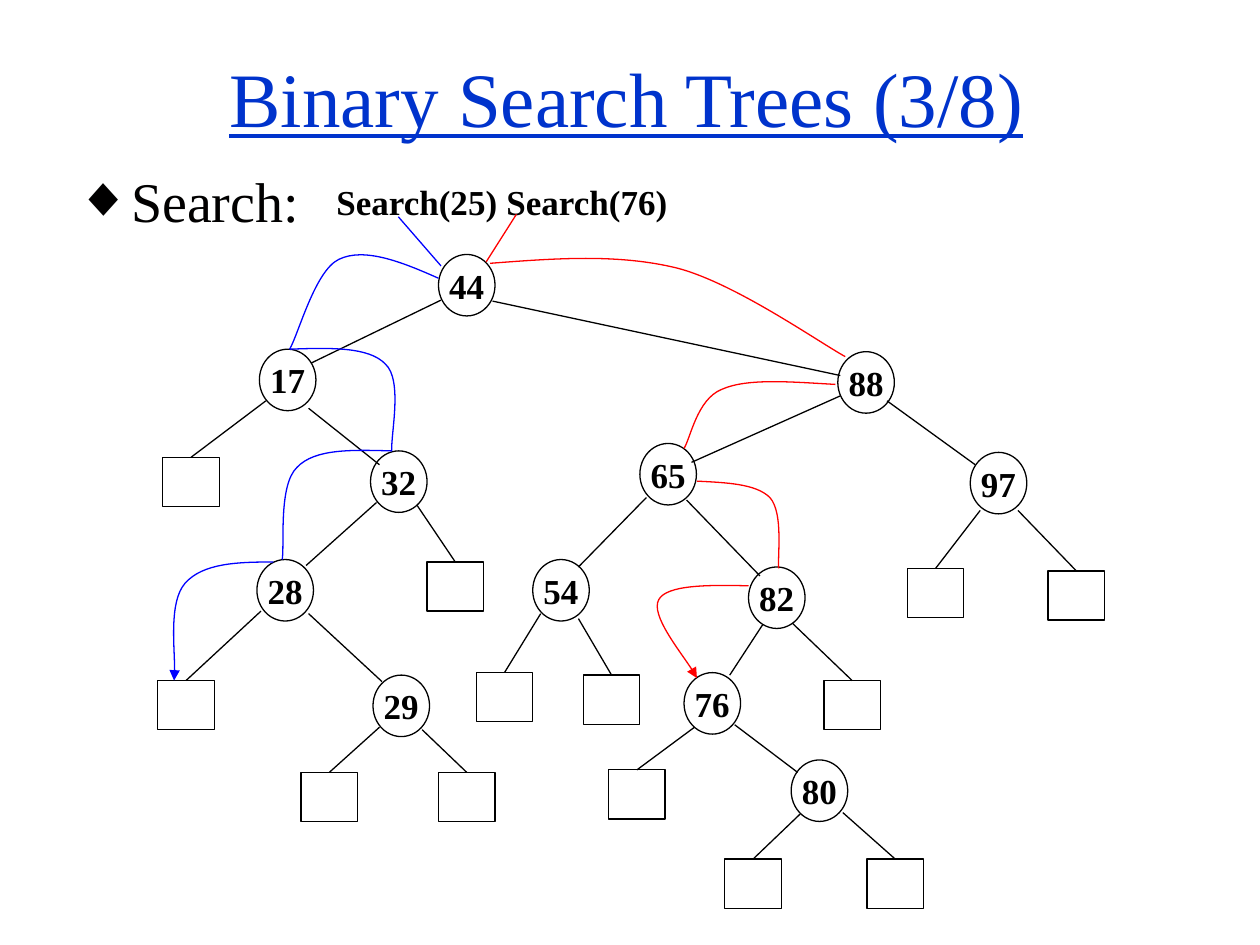
from typing import NamedTuple

from lxml import etree
from pptx import Presentation
from pptx.dml.color import RGBColor
from pptx.enum import shapes, text
from pptx.oxml.ns import qn
from pptx.util import Cm, Pt

BLACK = RGBColor(0x00, 0x00, 0x00)
BULLET_BLACK = RGBColor(0x01, 0x00, 0x00)
WHITE = RGBColor(0xFF, 0xFF, 0xFF)
TITLE_BLUE = RGBColor(0x00, 0x33, 0xCC)
BLUE = RGBColor(0x00, 0x00, 0xFF)
RED = RGBColor(0xFF, 0x00, 0x00)
FONT = "Times New Roman"
NODE_SIZE = (1.14, 1.24)
LEAF_SIZE = (1.14, 0.99)

Point = tuple[float, float]


class Node(NamedTuple):
    key: int
    left: float
    top: float


class Edge(NamedTuple):
    start: Point
    end: Point


class Leaf(NamedTuple):
    """An empty external node and the point on its parent where its edge starts."""
    left: float
    top: float
    edge_start: Point


class Search(NamedTuple):
    """One search: its label, the line into the root and the curves down the tree."""
    label: str
    label_left: float
    color: RGBColor
    entry: Edge
    curves: list[list[Point]]


NODES = [
    Node(44, 8.84, 5.13), Node(17, 5.23, 7.04), Node(88, 16.89, 7.09),
    Node(32, 7.47, 9.09), Node(65, 12.9, 8.94), Node(97, 19.56, 9.12),
    Node(28, 5.18, 11.28), Node(54, 10.74, 11.28), Node(82, 15.09, 11.43),
    Node(29, 7.52, 13.61), Node(76, 13.79, 13.56), Node(80, 15.95, 15.32),
]
EDGES = [
    Edge((8.89, 6.05), (6.27, 7.32)), Edge((9.93, 6.07), (16.94, 7.57)),
    Edge((6.22, 8.23), (7.65, 9.37)), Edge((7.59, 10.13), (6.17, 11.4)),
    Edge((6.22, 12.37), (7.7, 13.74)), Edge((16.94, 7.98), (13.94, 9.32)),
    Edge((17.88, 8.08), (19.66, 9.37)), Edge((13.84, 10.08), (15.32, 11.61)),
    Edge((13.03, 10.03), (11.66, 11.43)), Edge((15.37, 12.6), (14.71, 13.61)),
    Edge((14.81, 14.61), (16.08, 15.57)),
]
LEAVES = [
    Leaf(3.28, 9.22, (5.36, 8.08)), Leaf(8.61, 11.33, (8.41, 10.19)),
    Leaf(3.18, 13.72, (5.26, 12.32)), Leaf(6.07, 15.57, (7.65, 14.66)),
    Leaf(8.84, 15.57, (8.51, 14.71)), Leaf(9.6, 13.56, (10.9, 12.37)),
    Leaf(11.76, 13.61, (11.66, 12.47)), Leaf(12.27, 15.52, (14.0, 14.66)),
    Leaf(14.61, 17.32, (16.13, 16.41)), Leaf(17.48, 17.32, (16.99, 16.38)),
    Leaf(16.61, 13.72, (15.98, 12.57)), Leaf(18.29, 11.46, (19.76, 10.29)),
    Leaf(21.13, 11.51, (20.52, 10.29)),
]
SEARCHES = [
    Search("Search(25)", 6.53, BLUE, Edge((8.03, 4.37), (8.89, 5.36)), [
        [(8.84, 5.61), (8.1, 5.28), (7.34, 4.98), (6.83, 5.23),
         (6.35, 5.46), (6.02, 6.73), (5.84, 7.04)],
        [(5.84, 7.04), (6.65, 7.01), (7.44, 6.99), (7.77, 7.34),
         (8.13, 7.67), (7.87, 8.79), (7.9, 9.09)],
        [(7.9, 9.09), (7.11, 9.07), (6.35, 9.04), (5.99, 9.42),
         (5.61, 9.78), (5.74, 10.97), (5.69, 11.28)],
        [(5.51, 11.33), (4.8, 11.33), (4.09, 11.35), (3.73, 11.76),
         (3.4, 12.14), (3.56, 13.39), (3.51, 13.72)],
    ]),
    Search("Search(76)", 9.96, RED, Edge((10.41, 4.32), (9.8, 5.28)), [
        [(9.88, 5.31), (11.18, 5.21), (12.47, 5.11), (13.67, 5.41),
         (14.83, 5.72), (16.48, 6.88), (17.04, 7.19)],
        [(16.84, 7.75), (15.95, 7.7), (15.06, 7.62), (14.55, 7.85),
         (14.05, 8.05), (13.92, 8.84), (13.79, 9.04)],
        [(14.05, 9.7), (14.63, 9.73), (15.24, 9.75), (15.52, 10.03),
         (15.8, 10.34), (15.67, 11.23), (15.7, 11.46)],
        [(15.09, 11.81), (14.27, 11.79), (13.44, 11.79), (13.28, 12.09),
         (13.11, 12.4), (13.92, 13.39), (14.05, 13.67)],
    ]),
]


def write(shape, content: str, size: int, color: RGBColor, bold=False):
    """Put one formatted line into the shape and return its paragraph."""
    shape.text_frame.text = content
    paragraph = shape.text_frame.paragraphs[0]
    font = paragraph.runs[0].font
    font.name, font.size, font.bold = FONT, Pt(size), bold
    font.color.rgb = color
    return paragraph


def outline(shape, color: RGBColor) -> None:
    shape.line.color.rgb = color
    shape.line.width = Pt(0.75)


def add_body(slide) -> None:
    body = slide.shapes.add_textbox(Cm(1.27), Cm(3.23), Cm(22.86), Cm(12.5))
    body.fill.solid()
    body.fill.fore_color.rgb = WHITE
    body.text_frame.word_wrap = True
    paragraph = write(body, "Search:", 32, BULLET_BLACK)
    properties = paragraph._p.get_or_add_pPr()
    properties.set("marL", str(Cm(0.95)))
    properties.set("indent", str(Cm(-0.95)))
    bullet_color = etree.SubElement(properties, qn("a:buClr"))
    etree.SubElement(bullet_color, qn("a:srgbClr"), val=str(BULLET_BLACK))
    etree.SubElement(properties, qn("a:buFont"), typeface=FONT)
    etree.SubElement(properties, qn("a:buChar"), char="◆")


def add_title(slide) -> None:
    title = slide.shapes.add_textbox(Cm(3.5), Cm(0.36), Cm(18.26), Cm(3.18))
    title.text_frame.word_wrap = True
    title.text_frame.vertical_anchor = text.MSO_ANCHOR.MIDDLE
    paragraph = write(title, "Binary Search Trees (3/8)", 44, TITLE_BLUE)
    paragraph.alignment = text.PP_ALIGN.CENTER
    paragraph.runs[0].font.underline = True


def add_cell(slide, kind, left: float, top: float, size: Point):
    """Draw an unfilled, outlined tree cell."""
    cell = slide.shapes.add_shape(kind, Cm(left), Cm(top), *map(Cm, size))
    cell.shadow.inherit = False
    cell.fill.background()
    outline(cell, BLACK)
    return cell


def add_node(slide, node: Node) -> None:
    circle = add_cell(slide, shapes.MSO_SHAPE.OVAL, node.left, node.top, NODE_SIZE)
    circle.text_frame.word_wrap = False
    circle.text_frame.vertical_anchor = text.MSO_ANCHOR.MIDDLE
    write(circle, str(node.key), 20, BLACK, bold=True).alignment = text.PP_ALIGN.CENTER


def add_edge(slide, edge: Edge, color: RGBColor = BLACK):
    line = slide.shapes.add_connector(
        shapes.MSO_CONNECTOR.STRAIGHT, *map(Cm, edge.start + edge.end))
    outline(line, color)
    etree.SubElement(line._element.spPr, qn("a:effectLst"))
    return line


def add_leaf(slide, leaf: Leaf) -> None:
    box = add_cell(slide, shapes.MSO_SHAPE.RECTANGLE, leaf.left, leaf.top, LEAF_SIZE)
    top_middle = (leaf.left + LEAF_SIZE[0] / 2, leaf.top)
    add_edge(slide, Edge(leaf.edge_start, top_middle)).end_connect(box, 0)


def add_curve(slide, points: list[Point], color: RGBColor, arrow: bool) -> None:
    """Draw a cubic Bézier chain: a start point, then three points per piece."""
    start, *controls = [(Cm(x), Cm(y)) for x, y in points]
    builder = slide.shapes.build_freeform(*start)
    builder.add_line_segments(controls, close=False)
    curve = builder.convert_to_shape()
    curve.shadow.inherit = False
    curve.fill.background()
    outline(curve, color)
    segments = list(curve._element.iter(qn("a:lnTo")))
    for first in range(0, len(segments), 3):
        bezier = etree.Element(qn("a:cubicBezTo"))
        segments[first].addprevious(bezier)
        for segment in segments[first:first + 3]:
            bezier.append(segment[0])
            segment.getparent().remove(segment)
    if arrow:
        etree.SubElement(curve.line._get_or_add_ln(), qn("a:tailEnd"), type="triangle")


def add_search(slide, search: Search) -> None:
    label = slide.shapes.add_textbox(Cm(search.label_left), Cm(3.51), Cm(3.76), Cm(1.12))
    label.text_frame.word_wrap = False
    label.text_frame.auto_size = text.MSO_AUTO_SIZE.SHAPE_TO_FIT_TEXT
    write(label, search.label, 20, BLACK, bold=True)
    add_edge(slide, search.entry, search.color)
    for curve in search.curves:
        add_curve(slide, curve, search.color, arrow=curve is search.curves[-1])


def main() -> None:
    deck = Presentation()
    deck.slide_width, deck.slide_height = Cm(25.4), Cm(19.05)
    slide = deck.slides.add_slide(deck.slide_layouts[6])
    add_body(slide)
    for draw, items in ((add_node, NODES), (add_edge, EDGES),
                        (add_leaf, LEAVES), (add_search, SEARCHES)):
        for item in items:
            draw(slide, item)
    add_title(slide)
    deck.save("out.pptx")


if __name__ == "__main__":
    main()
